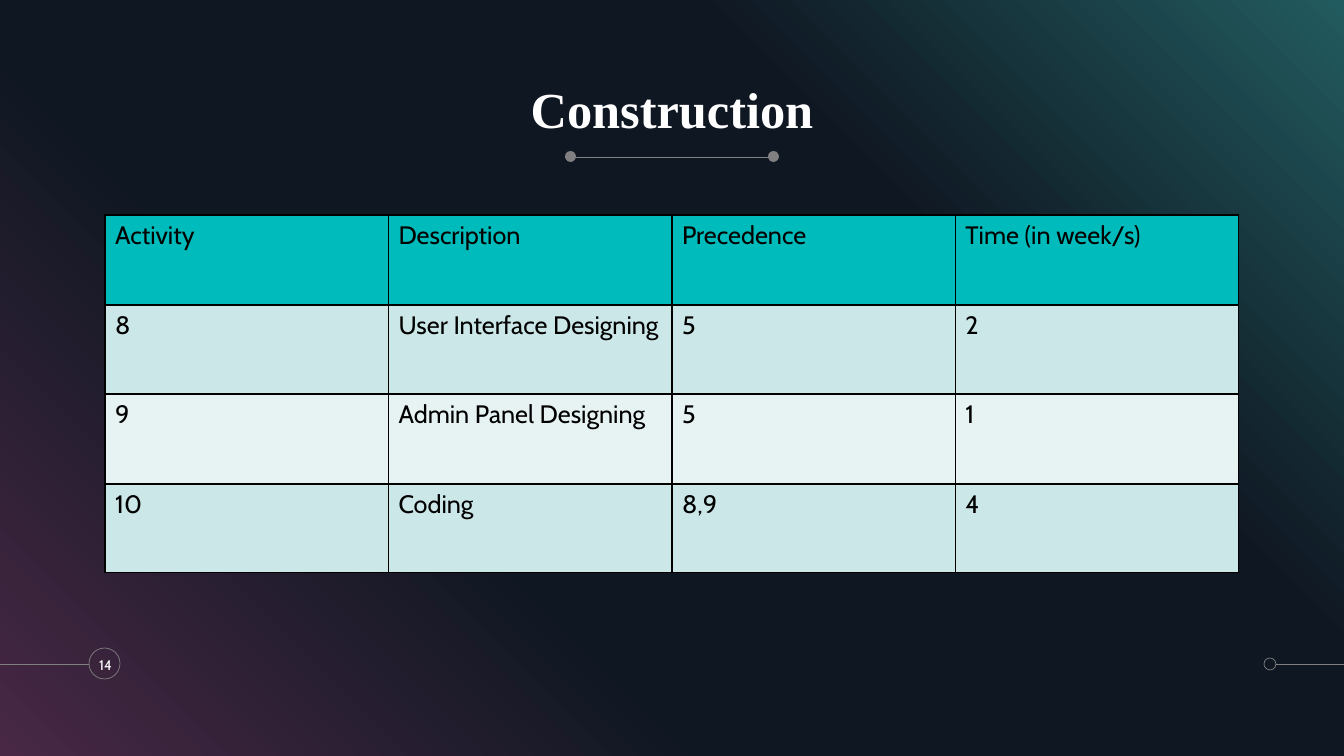
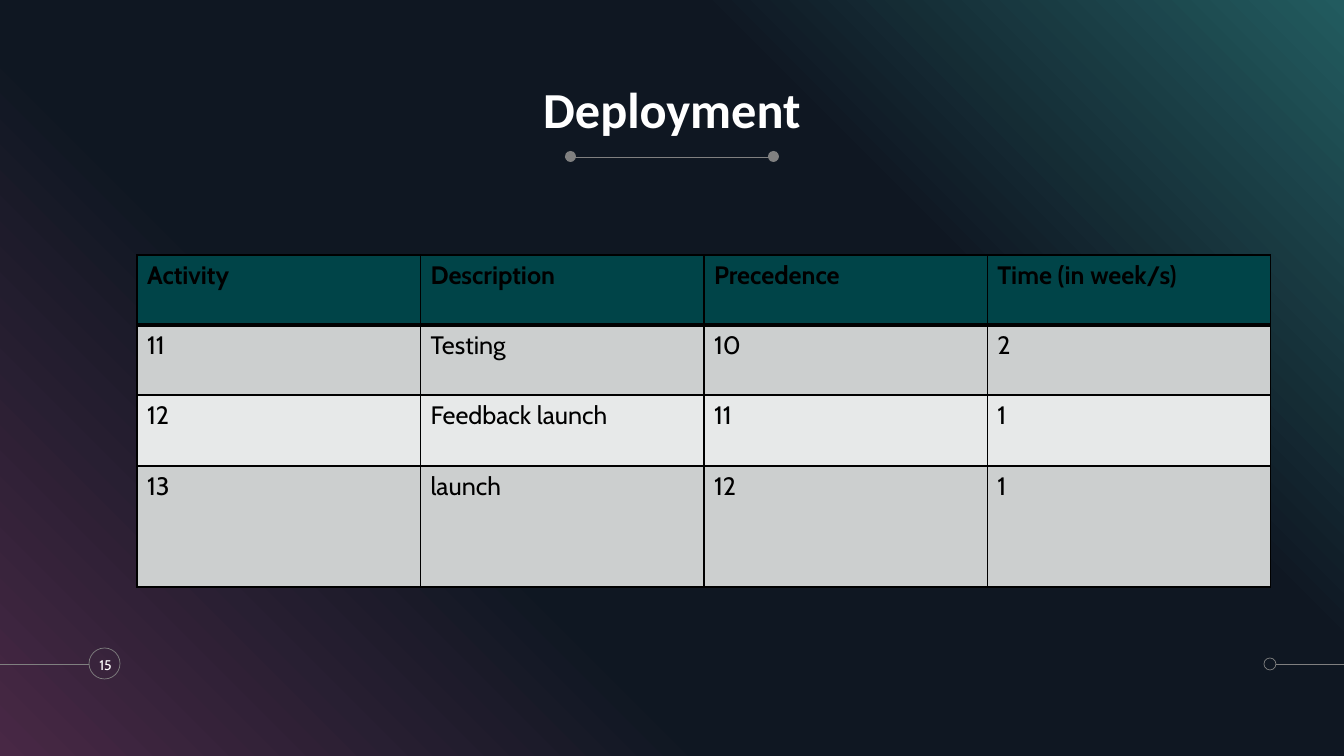
from lxml import etree
from pptx import Presentation
from pptx import util as u
from pptx.dml.color import RGBColor
from pptx.enum import shapes, text
from pptx.oxml.ns import qn

COLORS = {
    "purple": "482845", "navy": "0F1722", "teal": "225B5F",
    "gray": "808080", "white": "FFFFFF", "black": "000000",
    "aqua": "00BBBB", "aqua_mid": "CCE7E7", "aqua_pale": "E7F3F3",
    "pine": "004448", "gray_mid": "CCCFCF", "gray_pale": "E7E9E9",
}
BACKDROP = [(0, "purple"), (34, "navy"), (69, "navy"), (100, "teal")]
WIDTH, HEIGHT = 1344, 756
BODY_FONT = "Cabin"
HEADER = ["Activity", "Description", "Precedence", "Time (in week/s)"]


def px(n):
    return u.Emu(round(n * 914400 / 100.8))


def rgb(name):
    return RGBColor.from_string(COLORS[name])


class Deck:
    def __init__(self):
        self.prs = Presentation()
        self.prs.slide_width, self.prs.slide_height = px(WIDTH), px(HEIGHT)
        self.s = None

    def font(self, p, size, color, name=BODY_FONT, bold=False):
        f = p.font
        f.size, f.name, f.bold = u.Pt(size), name, bold
        f.color.rgb = rgb(color)

    def shape(self, kind, x, y, w, h, fill=None, line=None):
        sp = self.s.shapes.add_shape(kind, px(x), px(y), px(w), px(h))
        sp.shadow.inherit = False
        if fill:
            sp.fill.solid()
            sp.fill.fore_color.rgb = rgb(fill)
        else:
            sp.fill.background()
        if line:
            sp.line.color.rgb = rgb(line)
            sp.line.width = u.Pt(0.5)
        else:
            sp.line.fill.background()
        return sp

    def circle(self, x, y, size, fill=None, line=None):
        return self.shape(shapes.MSO_SHAPE.OVAL, x, y, size, size, fill, line)

    def line(self, x1, x2, y):
        c = self.s.shapes.add_connector(
            shapes.MSO_CONNECTOR.STRAIGHT, px(x1), px(y), px(x2), px(y))
        c.line.color.rgb = rgb("gray")
        c.line.width = u.Pt(0.5)
        etree.SubElement(c.element.spPr, qn("a:effectLst"))

    def backdrop(self):
        sp = self.shape(shapes.MSO_SHAPE.RECTANGLE, 0, 0, WIDTH, HEIGHT)
        sp.fill.gradient()
        sp.fill.gradient_angle = 45
        stops = sp.element.spPr.find(".//" + qn("a:gsLst"))
        for gs in list(stops):
            stops.remove(gs)
        for pos, color in BACKDROP:
            gs = etree.SubElement(stops, qn("a:gs"), pos=str(pos * 1000))
            etree.SubElement(gs, qn("a:srgbClr"), val=COLORS[color])
        # Behind the title placeholder
        self.s.shapes.element.insert(2, sp.element)

    def title(self, words, font):
        sp = self.s.shapes.title
        sp.left, sp.top, sp.width, sp.height = px(426), px(77), px(492), px(62)
        tf = sp.text_frame
        tf.text = words
        tf.word_wrap = True
        tf.auto_size = text.MSO_AUTO_SIZE.NONE
        tf.vertical_anchor = text.MSO_ANCHOR.BOTTOM
        tf.margin_left = tf.margin_right = tf.margin_top = tf.margin_bottom = 0
        p = tf.paragraphs[0]
        p.alignment, p.line_spacing = text.PP_ALIGN.CENTER, 0.9
        self.font(p, 36, "white", font, True)

    def page_number(self, number):
        tb = self.s.shapes.add_textbox(px(86), px(648), px(39), px(33))
        tf = tb.text_frame
        tf.text = str(number)
        tf.word_wrap = True
        tf.vertical_anchor = text.MSO_ANCHOR.MIDDLE
        p = tf.paragraphs[0]
        p.alignment = text.PP_ALIGN.CENTER
        self.font(p, 10, "white")

    def slide(self, words, font, number):
        self.s = self.prs.slides.add_slide(self.prs.slide_layouts[5])
        self.backdrop()
        self.title(words, font)
        # Rule under the title
        self.line(565, 773, 157)
        for x in (565, 768):
            self.circle(x, 151, 11, fill="gray")
        # Footer
        self.line(0, 89, 664)
        self.circle(89, 648, 31, line="gray")
        self.line(1276, WIDTH, 664)
        self.circle(1264, 658, 12, line="gray")
        self.page_number(number)

    def border(self, cell, side, width):
        ln = etree.SubElement(cell._tc.get_or_add_tcPr(), qn("a:ln" + side),
                              w=str(u.Pt(width)))
        fill = etree.SubElement(ln, qn("a:solidFill"))
        etree.SubElement(fill, qn("a:srgbClr"), val=COLORS["black"])

    def table(self, x, y, heights, rows, fills, bold_header, header_rule):
        width, cols = 1134, len(HEADER)
        tbl = self.s.shapes.add_table(
            len(rows) + 1, cols, px(x), px(y), px(width), px(sum(heights))).table
        tbl.first_row = tbl.horz_banding = False
        for col in tbl.columns:
            col.width = px(width / cols)
        head, *bands = fills
        for i, (values, height) in enumerate(zip([HEADER] + rows, heights)):
            tbl.rows[i].height = px(height)
            for j, value in enumerate(values):
                cell = tbl.cell(i, j)
                cell.text = value
                self.font(cell.text_frame.paragraphs[0], 18, "black",
                          bold=bold_header and i == 0)
                # The rule below the header is shared by rows 0 and 1
                for side in "LRTB":
                    shared = (i, side) in ((0, "B"), (1, "T"))
                    self.border(cell, side, header_rule if shared else 1)
                cell.fill.solid()
                cell.fill.fore_color.rgb = rgb(
                    bands[(i - 1) % len(bands)] if i else head)


def main():
    deck = Deck()

    # Construction
    deck.slide("Construction", "Times New Roman", 14)
    deck.table(105, 215, [90, 89, 90, 89], [
        ["8", "User Interface Designing", "5", "2"],
        ["9", "Admin Panel Designing", "5", "1"],
        ["10", "Coding", "8,9", "4"],
    ], ["aqua", "aqua_mid", "aqua_pale"], bold_header=False, header_rule=1)

    # Deployment
    deck.slide("Deployment", "Calibri", 15)
    deck.table(137, 255, [70, 70, 71, 121], [
        ["11", "Testing", "10", "2"],
        ["12", "Feedback launch", "11", "1"],
        ["13", "launch", "12", "1"],
    ], ["pine", "gray_mid", "gray_pale"], bold_header=True, header_rule=3)

    deck.prs.save("out.pptx")


if __name__ == "__main__":
    main()
